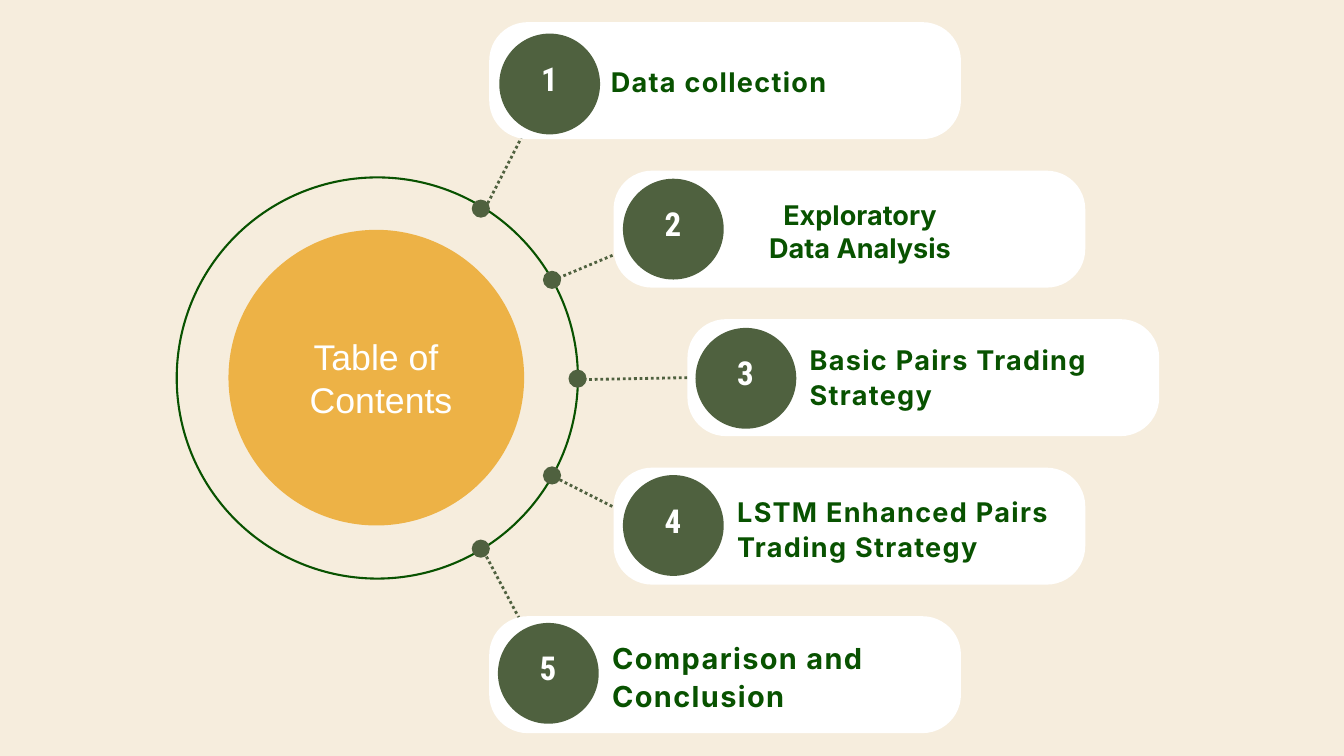
from lxml import etree
from pptx import Presentation
from pptx.dml.color import RGBColor
from pptx.enum.dml import MSO_LINE
from pptx.enum.shapes import MSO_CONNECTOR, MSO_SHAPE
from pptx.enum.text import PP_ALIGN
from pptx.oxml.ns import qn
from pptx.util import Inches, Pt

OVAL = MSO_SHAPE.OVAL
ROUNDED = MSO_SHAPE.ROUNDED_RECTANGLE
STRAIGHT = MSO_CONNECTOR.STRAIGHT
DOTTED = MSO_LINE.ROUND_DOT
LEFT = PP_ALIGN.LEFT
CENTER = PP_ALIGN.CENTER

CREAM = "F6EDDD"
OLIVE = "4F613F"
GREEN = "085200"
AMBER = "EDB246"
WHITE = "FFFFFF"

CARD_WIDTH, CARD_HEIGHT = 7.02, 1.74
CARD_TOP, CARD_PITCH = 0.33, 2.21
BADGE_SIZE, DOT_SIZE = 1.5, 0.27

CARD_LEFTS = [7.28, 9.13, 10.23, 9.13, 7.28]
BADGES = [(7.43, 0.5), (9.27, 2.66), (10.35, 4.88), (9.27, 7.07), (7.41, 9.27)]
DOTS = [(7.02, 2.97), (8.08, 4.03), (8.46, 5.5), (8.08, 6.94), (7.02, 8.03)]
SPOKES = [
    (7.22, 3.1, 7.83, 1.91),
    (8.23, 4.17, 9.33, 3.71),
    (8.6, 5.65, 10.23, 5.62),
    (8.33, 7.14, 9.67, 7.82),
    (7.2, 8.21, 7.81, 9.36),
]
TOPICS = [
    ("Data collection", (9.09, 0.94, 4.4, 0.5), {}),
    ("Exploratory Data Analysis", (11.31, 2.95, 2.98, 0.96),
     {"align": CENTER, "line_height": 35.1, "tracking": 0}),
    ("Basic Pairs Trading Strategy", (12.05, 5.07, 4.4, 1.02), {}),
    ("LSTM Enhanced Pairs Trading Strategy", (10.97, 7.33, 4.86, 1.02), {}),
    ("Comparison and Conclusion", (9.11, 9.49, 4.4, 1.08),
     {"size": 31, "line_height": 40.3, "tracking": 1.5}),
]


def color(value):
    return RGBColor.from_string(value)


def add_shape(slide, kind, box, fill=None, line=None, corner=None):
    shape = slide.shapes.add_shape(kind, *map(Inches, box))
    shape.shadow.inherit = False
    if fill:
        shape.fill.solid()
        shape.fill.fore_color.rgb = color(fill)
    else:
        shape.fill.background()
    if line:
        shape.line.color.rgb = color(line)
        shape.line.width = Pt(2.25)
    else:
        shape.line.fill.background()
    if corner is not None:
        shape.adjustments[0] = corner
    return shape


def add_spoke(slide, ends):
    spoke = slide.shapes.add_connector(STRAIGHT, *map(Inches, ends))
    spoke.line.color.rgb = color(OLIVE)
    spoke.line.width = Pt(3)
    spoke.line.dash_style = DOTTED
    etree.SubElement(spoke._element.spPr, qn("a:effectLst"))
    return spoke


def add_text(slide, text, box, font="Inter", size=29, fill=GREEN, bold=True,
             align=LEFT, line_height=37.7, tracking=1.4, last_indent=0):
    frame = slide.shapes.add_textbox(*map(Inches, box)).text_frame
    frame.word_wrap = True
    frame.margin_left = frame.margin_right = 0
    frame.margin_top = frame.margin_bottom = 0
    frame.text = text
    for paragraph in frame.paragraphs:
        paragraph.alignment = align
        paragraph.line_spacing = Pt(line_height)
        for run in paragraph.runs:
            run.font.name = font
            run.font.size = Pt(size)
            run.font.bold = bold
            run.font.color.rgb = color(fill)
            run._r.get_or_add_rPr().set("spc", str(round(tracking * 100)))
    if last_indent:
        properties = frame.paragraphs[-1]._p.get_or_add_pPr()
        properties.set("marL", str(Inches(last_indent)))


def add_hub(slide):
    add_shape(slide, OVAL, (2.63, 2.64, 5.97, 5.97), line=GREEN)
    spokes = [add_spoke(slide, ends) for ends in SPOKES]
    for left, top in DOTS:
        add_shape(slide, OVAL, (left, top, DOT_SIZE, DOT_SIZE), fill=OLIVE)
    add_shape(slide, OVAL, (3.4, 3.42, 4.4, 4.4), fill=AMBER)
    add_text(slide, "Table of\nContents", (2.43, 4.97, 6.33, 1.27),
             font="Arial", size=38.2, fill=WHITE, bold=False, align=CENTER,
             line_height=46.3, tracking=0, last_indent=0.15)
    return spokes


def add_card(slide, index):
    top = CARD_TOP + index * CARD_PITCH
    card = add_shape(slide, ROUNDED,
                     (CARD_LEFTS[index], top, CARD_WIDTH, CARD_HEIGHT),
                     fill=WHITE, corner=0.33)
    left, top = BADGES[index]
    add_shape(slide, OVAL, (left, top, BADGE_SIZE, BADGE_SIZE), fill=OLIVE)
    add_text(slide, str(index + 1), (left + 0.06, top + 0.53, 1.37, 0.48),
             font="Roboto Condensed", size=35.3, fill=WHITE, align=CENTER,
             line_height=31.1, tracking=-1.1)
    topic, box, style = TOPICS[index]
    add_text(slide, topic, box, **style)
    return card


def main():
    presentation = Presentation()
    presentation.slide_width = Inches(20)
    presentation.slide_height = Inches(11.25)
    slide = presentation.slides.add_slide(presentation.slide_layouts[6])
    slide.background.fill.solid()
    slide.background.fill.fore_color.rgb = color(CREAM)

    spokes = add_hub(slide)
    cards = [add_card(slide, index) for index in range(len(TOPICS))]
    spokes[2].end_connect(cards[2], 1)

    presentation.save("out.pptx")


if __name__ == "__main__":
    main()
